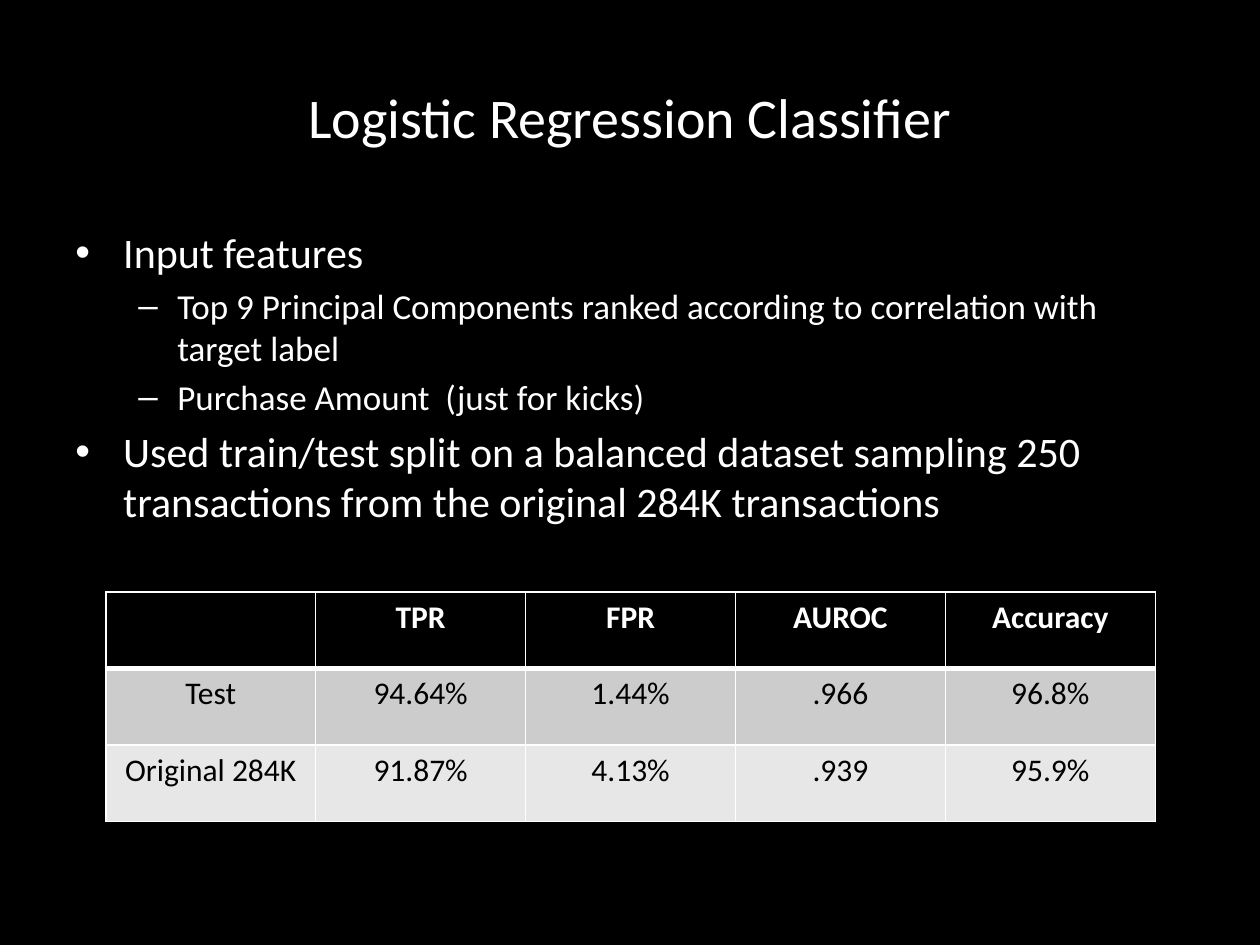
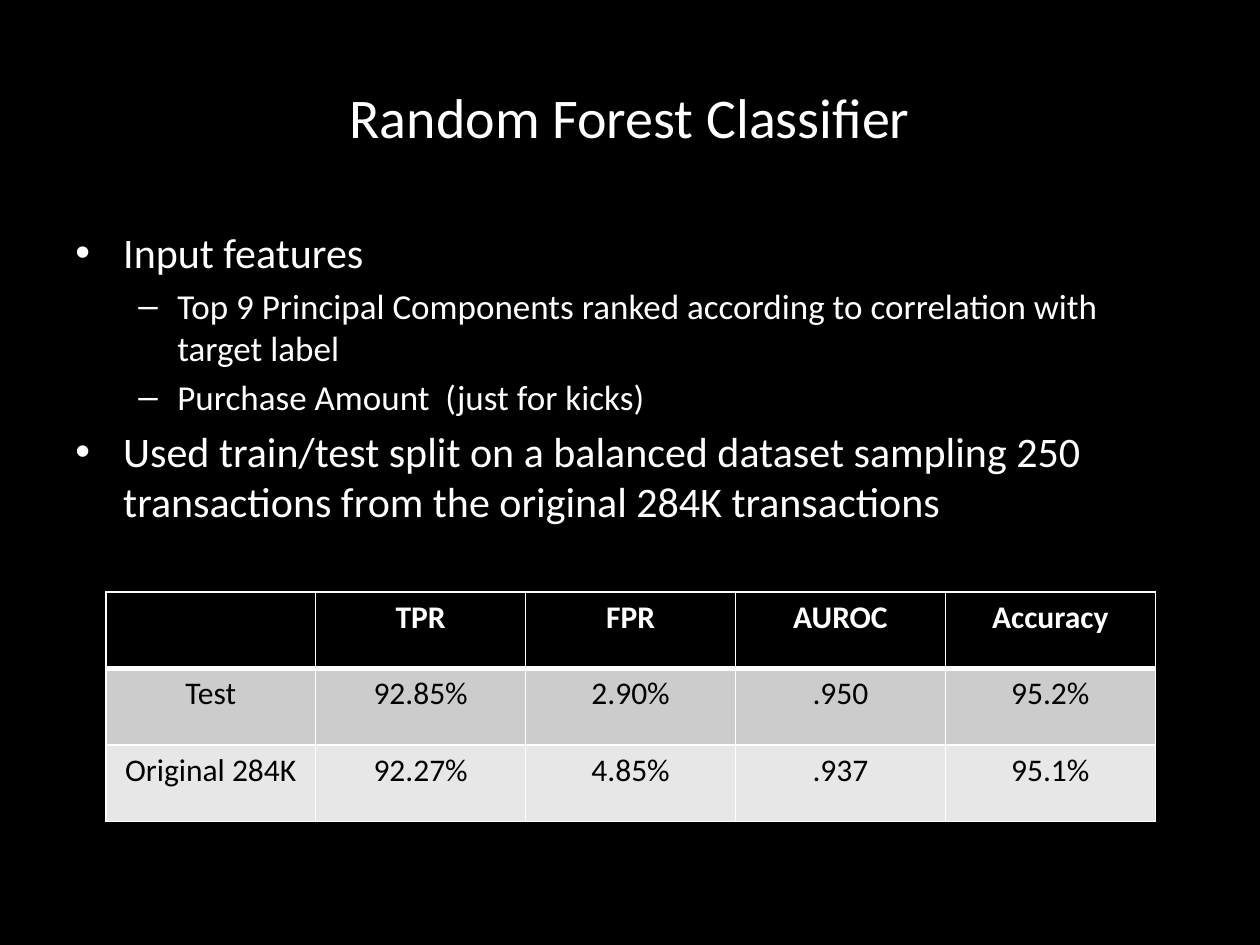
from lxml.etree import SubElement
from pptx import Presentation
from pptx.dml.color import RGBColor
from pptx.enum.text import MSO_ANCHOR as ANCHOR, PP_ALIGN as ALIGN
from pptx.oxml.ns import qn
from pptx.util import Inches, Pt

COLORS = {"back": "000000", "light": "FFFFFF", "dark": "000000",
          "header": "000000", "band": "CCCCCC", "plain": "E7E7E7"}
FONT = "Calibri"

# Regions: left, top, width, height in inches
TITLE_BOX = (0.5, 0.3, 9, 1.25)
BODY_BOX = (0.5, 1.75, 9, 4.95)
TABLE_BOX = (0.84, 4.7, 8.33, 1.82)

# Bullet levels; indents in inches
LEVELS = [{"size": 24, "left": 0.38, "hang": 0.38, "mark": "•"},
          {"size": 20, "left": 0.81, "hang": 0.31, "mark": "–"}]

BULLETS = [
    (0, "Input features"),
    (1, "Top 9 Principal Components ranked according to correlation with target label"),
    (1, "Purchase Amount  (just for kicks)"),
    (0, "Used train/test split on a balanced dataset sampling 250 "
        "transactions from the original 284K transactions"),
]
HEADER = ["", "TPR", "FPR", "AUROC", "Accuracy"]
CLASSIFIERS = [
    ("Logistic Regression Classifier",
     [["Test", "94.64%", "1.44%", ".966", "96.8%"],
      ["Original 284K", "91.87%", "4.13%", ".939", "95.9%"]]),
    ("Random Forest Classifier",
     [["Test", "92.85%", "2.90%", ".950", "95.2%"],
      ["Original 284K", "92.27%", "4.85%", ".937", "95.1%"]]),
]


def rgb(name):
    return RGBColor.from_string(COLORS[name])


def add_run(p, text, size, color="light", bold=False):
    r = p.add_run()
    r.text = text
    for key, value in {"name": FONT, "size": Pt(size), "bold": bold}.items():
        setattr(r.font, key, value)
    r.font.color.rgb = rgb(color)


def add_text_frame(s, box, anchor):
    tf = s.shapes.add_textbox(*map(Inches, box)).text_frame
    tf.word_wrap = True
    tf.vertical_anchor = anchor
    return tf


def add_title(s, box, text):
    p = add_text_frame(s, box, ANCHOR.MIDDLE).paragraphs[0]
    p.alignment = ALIGN.CENTER
    add_run(p, text, 32)


def add_bullets(s, box, bullets):
    tf = add_text_frame(s, box, ANCHOR.TOP)
    for i, (level, text) in enumerate(bullets):
        p = tf.add_paragraph() if i else tf.paragraphs[0]
        fmt = LEVELS[level]
        p.level = level
        p.space_before = Pt(0.2 * fmt["size"])
        pPr = p._p.get_or_add_pPr()
        pPr.set("marL", str(Inches(fmt["left"])))
        pPr.set("indent", str(-Inches(fmt["hang"])))
        SubElement(pPr, qn("a:buFont"), typeface="Arial")
        SubElement(pPr, qn("a:buChar"), char=fmt["mark"])
        add_run(p, text, fmt["size"])


def set_borders(cell, widths):
    tcPr = cell._tc.get_or_add_tcPr()
    for side, width in widths.items():
        ln = SubElement(tcPr, qn(f"a:ln{side}"), w=str(Pt(width)))
        fill = SubElement(ln, qn("a:solidFill"))
        SubElement(fill, qn("a:srgbClr"), val=COLORS["light"])


def add_score_table(s, box, rows):
    table = s.shapes.add_table(len(rows), len(rows[0]), *map(Inches, box)).table
    table.horz_banding = False
    for i, row in enumerate(rows):
        fill = "header" if i == 0 else ("plain", "band")[i % 2]
        # Heavy rule between the header and the scores
        widths = {"L": 1, "R": 1, "T": 3 if i == 1 else 1, "B": 3 if i == 0 else 1}
        for j, text in enumerate(row):
            cell = table.cell(i, j)
            set_borders(cell, widths)
            cell.fill.solid()
            cell.fill.fore_color.rgb = rgb(fill)
            p = cell.text_frame.paragraphs[0]
            p.alignment = ALIGN.CENTER
            if text:
                add_run(p, text, 18, "dark" if i else "light", bold=i == 0)


def add_classifier_slide(prs, title, scores):
    s = prs.slides.add_slide(prs.slide_layouts[6])
    s.background.fill.solid()
    s.background.fill.fore_color.rgb = rgb("back")
    add_title(s, TITLE_BOX, title)
    add_bullets(s, BODY_BOX, BULLETS)
    add_score_table(s, TABLE_BOX, [HEADER] + scores)


def main():
    prs = Presentation()
    prs.slide_width, prs.slide_height = Inches(10), Inches(7.5)
    for title, scores in CLASSIFIERS:
        add_classifier_slide(prs, title, scores)
    prs.save("out.pptx")


if __name__ == "__main__":
    main()
